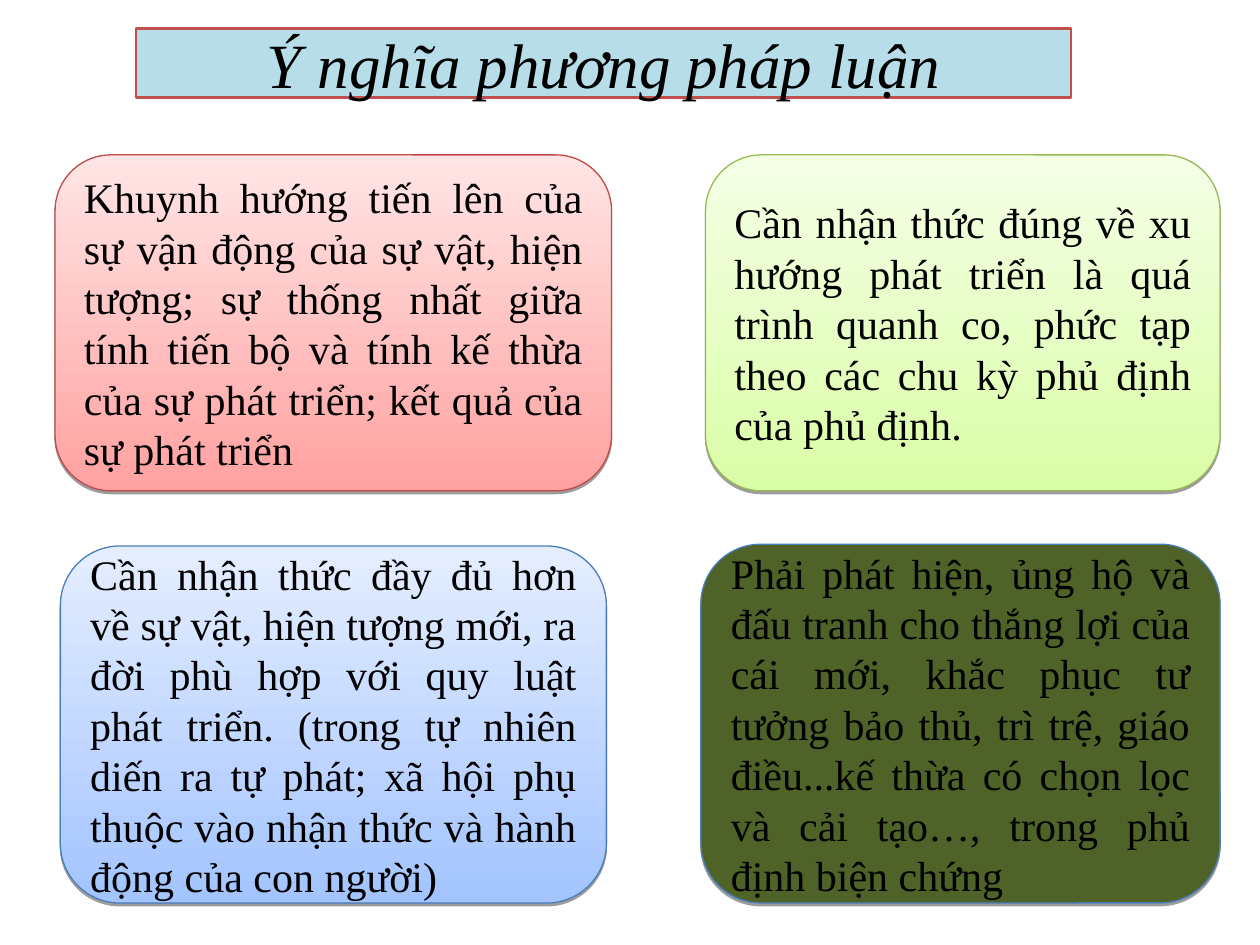
from lxml import etree
from pptx import Presentation
from pptx.dml.color import RGBColor
from pptx.enum.shapes import MSO_SHAPE as Shape
from pptx.enum.text import MSO_ANCHOR as Anchor, PP_ALIGN as Align
from pptx.oxml import parse_xml
from pptx.oxml.ns import nsdecls
from pptx.util import Pt

COLORS = {
    "text": "000000",
    "title fill": "B7DEE8", "title line": "C0504D",
    "red dark": "FFA2A1", "red light": "FFE5E5", "red line": "BE4B48",
    "blue dark": "A3C4FF", "blue light": "E5EEFF", "blue line": "4A7EBB",
    "green dark": "DAFDA7", "green light": "F5FFE6", "green line": "98B954",
    "olive": "4F6228",
}


def color(name):
    return RGBColor.from_string(COLORS[name])


def add_panel(kind, box, line_name, line_width, text, size, alignment):
    shape = slide.shapes.add_shape(kind, *[Pt(value) for value in box])
    shape.shadow.inherit = False
    shape.line.color.rgb = color(line_name)
    shape.line.width = Pt(line_width)
    frame = shape.text_frame
    frame.word_wrap = True
    frame.vertical_anchor = Anchor.MIDDLE
    frame.text = text
    paragraph = frame.paragraphs[0]
    paragraph.alignment = alignment
    font = paragraph.runs[0].font
    font.name = "Times New Roman"
    font.size = Pt(size)
    font.color.rgb = color("text")
    return shape


presentation = Presentation()
presentation.slide_width = Pt(720)
presentation.slide_height = Pt(540)
slide = presentation.slides.add_slide(presentation.slide_layouts[6])

# Title bar
title = add_panel(Shape.RECTANGLE, (77.76, 16.2, 534.24, 39.6), "title line", 1.5,
                  "Ý nghĩa phương pháp luận", 36, Align.CENTER)
title.fill.solid()
title.fill.fore_color.rgb = color("title fill")
title.text_frame.paragraphs[0].runs[0].font.italic = True

# Four rounded cards: box, fill colours from bottom to top, line, text
cards = [
    ((31.5, 88.5, 318, 192), ("red dark", "red light"), "red line",
     "Khuynh hướng tiến lên của sự vận động của sự vật, hiện tượng; sự thống nhất "
     "giữa tính tiến bộ và tính kế thừa của sự phát triển; kết quả của sự phát triển"),
    ((34.5, 312, 312, 204), ("blue dark", "blue light"), "blue line",
     "Cần nhận thức đầy đủ hơn về sự vật, hiện tượng mới, ra đời phù hợp với quy luật "
     "phát triển. (trong tự nhiên diến ra tự phát; xã hội phụ thuộc vào nhận thức "
     "và hành động của con người)"),
    ((403.2, 88.5, 294, 192), ("green dark", "green light"), "green line",
     "Cần nhận thức đúng về xu hướng phát triển là quá trình quanh co, phức tạp "
     "theo các chu kỳ phủ định của phủ định."),
    ((400.5, 311, 296.7, 205), ("olive",), "blue line",
     "Phải phát hiện, ủng hộ và đấu tranh cho thắng lợi của cái mới, khắc phục tư tưởng "
     "bảo thủ, trì trệ, giáo điều...kế thừa có chọn lọc và cải tạo…, trong phủ định "
     "biện chứng"),
]
shadow_xml = (
    f'<a:outerShdw {nsdecls("a")} blurRad="0" dist="20000" dir="5400000" rotWithShape="0">'
    '<a:srgbClr val="000000"><a:alpha val="38000"/></a:srgbClr></a:outerShdw>'
)

for box, fills, line_name, text in cards:
    card = add_panel(Shape.ROUNDED_RECTANGLE, box, line_name, 0.75, text, 24, Align.JUSTIFY)
    if len(fills) == 1:
        card.fill.solid()
        card.fill.fore_color.rgb = color(fills[0])
    else:
        card.fill.gradient()
        card.fill.gradient_angle = 90
        for stop, name in zip(card.fill.gradient_stops, fills):
            stop.color.rgb = color(name)
    effects = card.element.spPr.find("{*}effectLst")
    effects.append(parse_xml(shadow_xml))

presentation.save("out.pptx")
